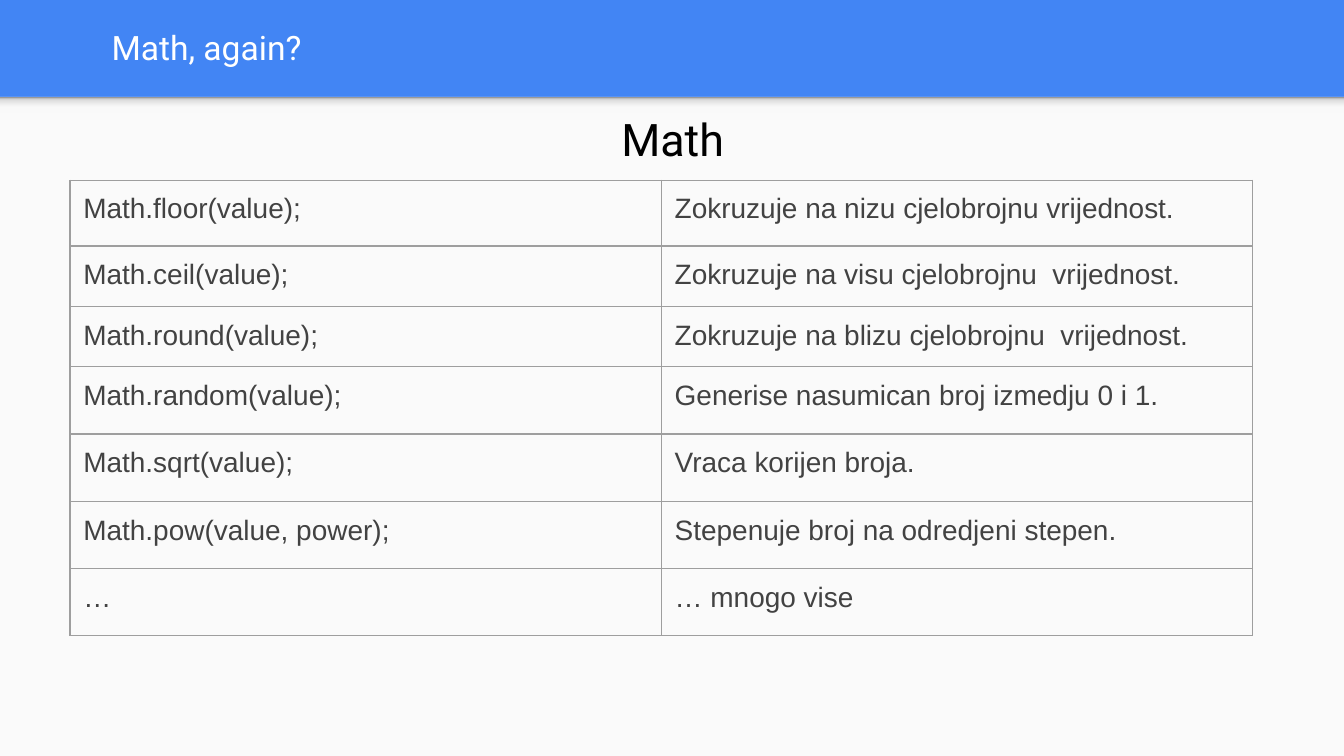
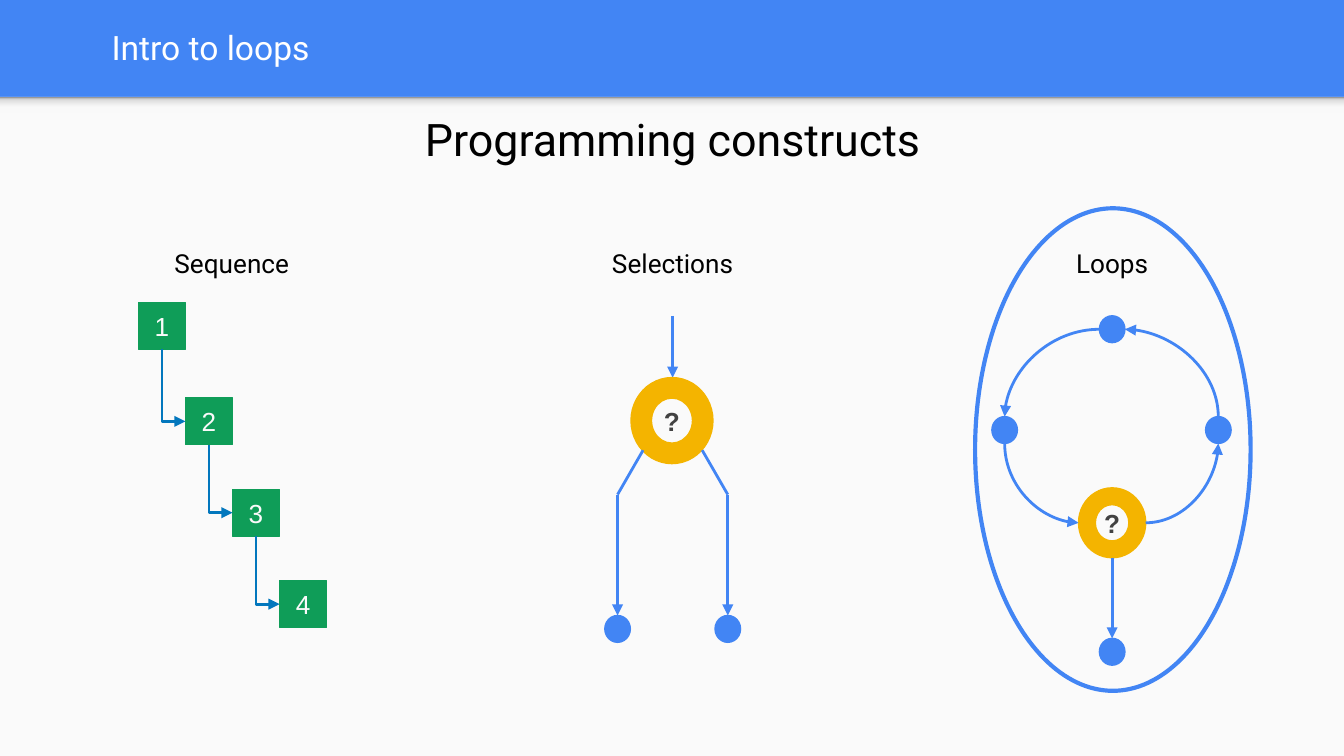
from pptx import Presentation
from pptx.dml.color import RGBColor
from pptx.enum.shapes import MSO_CONNECTOR, MSO_SHAPE
from pptx.enum.text import MSO_ANCHOR, MSO_AUTO_SIZE, PP_ALIGN
from pptx.oxml import parse_xml
from pptx.oxml.ns import nsdecls, qn
from pptx.util import Inches, Pt

RECTANGLE, OVAL, DONUT = MSO_SHAPE.RECTANGLE, MSO_SHAPE.OVAL, MSO_SHAPE.DONUT
STRAIGHT, ELBOW, CURVE = MSO_CONNECTOR.STRAIGHT, MSO_CONNECTOR.ELBOW, MSO_CONNECTOR.CURVE
CORNER_PRESETS = {ELBOW: "bentConnector2", CURVE: "curvedConnector2"}
TOP, MIDDLE = MSO_ANCHOR.TOP, MSO_ANCHOR.MIDDLE
LEFT, CENTER = PP_ALIGN.LEFT, PP_ALIGN.CENTER

BLUE = RGBColor(0x42, 0x85, 0xF4)
DARK_BLUE = RGBColor(0x02, 0x77, 0xBD)
GREEN = RGBColor(0x0F, 0x9D, 0x58)
YELLOW = RGBColor(0xF4, 0xB4, 0x00)
PAPER = RGBColor(0xFA, 0xFA, 0xFA)
WHITE = RGBColor(0xFF, 0xFF, 0xFF)
BLACK = RGBColor(0x00, 0x00, 0x00)
INK = RGBColor(0x42, 0x42, 0x42)
GRID = RGBColor(0x9E, 0x9E, 0x9E)
SHADE_STOPS = ((0, "F9F9F9"), (36, "F9F9F9"), (80, "DEDEDE"), (100, "999999"))

HEADING_FONT, BODY_FONT = "Roboto", "Arial"
SLIDE_W = 10
SLIDE_H = SLIDE_W * 9 / 16
BAND_H = 0.72
PADDING = Inches(0.1)
DOT_W, DOT_H = 0.19, 0.2
COLUMN_W, COLUMN_TOP = 1.99, 1.74

MATH_ROWS = (
    (0.49, "Math.floor(value);", "Zokruzuje na nizu cjelobrojnu vrijednost."),
    (0.45, "Math.ceil(value);", "Zokruzuje na visu cjelobrojnu  vrijednost."),
    (0.45, "Math.round(value);", "Zokruzuje na blizu cjelobrojnu  vrijednost."),
    (0.5, "Math.random(value);", "Generise nasumican broj izmedju 0 i 1."),
    (0.5, "Math.sqrt(value);", "Vraca korijen broja."),
    (0.5, "Math.pow(value, power);", "Stepenuje broj na odredjeni stepen."),
    (0.5, "…", "… mnogo vise"),
)


# Text and shapes
def inches(*lengths):
    return [Inches(length) for length in lengths]


def write(frame, text, size, color, font=BODY_FONT, align=CENTER, anchor=MIDDLE, bold=False):
    frame.word_wrap = True
    frame.auto_size = MSO_AUTO_SIZE.NONE
    frame.vertical_anchor = anchor
    frame.margin_left = frame.margin_right = PADDING
    frame.margin_top = frame.margin_bottom = PADDING
    style_paragraph(frame, text, size, color, font, align, bold)


def style_paragraph(frame, text, size, color, font, align, bold=False):
    frame.text = text
    paragraph = frame.paragraphs[0]
    paragraph.alignment = align
    paragraph.font.name = font
    paragraph.font.size = Pt(size)
    paragraph.font.bold = bold
    paragraph.font.color.rgb = color


def add_label(slide, box, text, size, anchor=MIDDLE):
    label = slide.shapes.add_textbox(*inches(*box))
    write(label.text_frame, text, size, BLACK, HEADING_FONT, anchor=anchor)


def add_solid(slide, preset, box, color):
    solid = slide.shapes.add_shape(preset, *inches(*box))
    solid.shadow.inherit = False
    solid.fill.solid()
    solid.fill.fore_color.rgb = color
    solid.line.color.rgb = color
    solid.line.width = Pt(0.75)
    return solid


def add_dot(slide, x, y):
    add_solid(slide, OVAL, (x - DOT_W / 2, y - DOT_H / 2, DOT_W, DOT_H), BLUE)


def add_question(slide, box):
    ring = add_solid(slide, DONUT, box, YELLOW)
    ring.adjustments[0] = 0.25
    write(ring.text_frame, "?", 14, INK, bold=True)


# Connectors
def add_line(slide, start, end, color=BLUE, kind=STRAIGHT, arrow=True):
    line = slide.shapes.add_connector(kind, *inches(*start, *end))
    line.line.color.rgb = color
    line.line.width = Pt(1.5)
    properties = line._element.spPr
    if arrow:
        tail = parse_xml(f'<a:tailEnd {nsdecls("a")} type="triangle"/>')
        properties.find(qn("a:ln")).append(tail)
    properties.append(parse_xml(f'<a:effectLst {nsdecls("a")}/>'))
    if kind in CORNER_PRESETS:
        properties.find(qn("a:prstGeom")).set("prst", CORNER_PRESETS[kind])
    return line


def add_upright_corner(slide, start, end, color, kind):
    """Leave start vertically (down-right or up-left) and reach end horizontally."""
    (x1, y1), (x2, y2) = start, end
    center_x, center_y = (x1 + x2) / 2, (y1 + y2) / 2
    half_w, half_h = abs(y2 - y1) / 2, abs(x2 - x1) / 2
    line = add_line(slide, (center_x + half_w, center_y - half_h),
                    (center_x - half_w, center_y + half_h), color, kind)
    degrees = 270 if y2 > y1 else 90
    line._element.spPr.find(qn("a:xfrm")).set("rot", str(degrees * 60000))


# Shared look
def add_backdrop(layout, slide):
    """Draw the page and the shade under the title band, then hand them to the layout."""
    page = add_solid(slide, RECTANGLE, (0, BAND_H, SLIDE_W, SLIDE_H - BAND_H), PAPER)
    shade = add_solid(slide, RECTANGLE, (0, BAND_H, SLIDE_W, 0.12), PAPER)
    stops = "".join(f'<a:gs pos="{place * 1000}"><a:srgbClr val="{color}"/></a:gs>'
                    for place, color in SHADE_STOPS)
    gradient = parse_xml(f'<a:gradFill {nsdecls("a")}><a:gsLst>{stops}</a:gsLst>'
                         '<a:lin ang="16200000" scaled="0"/></a:gradFill>')
    properties = shade._element.spPr
    properties.replace(properties.find(qn("a:solidFill")), gradient)
    for position, part in enumerate((page, shade), start=2):
        part.line.fill.background()
        layout.shapes._spTree.insert(position, part._element)


def add_headings(slide, title, topic):
    heading = slide.shapes.title
    heading.left, heading.top, heading.width, heading.height = inches(0.73, 0.02, 9.27, 0.66)
    write(heading.text_frame, title, 18, WHITE, HEADING_FONT, LEFT)
    add_label(slide, (1.84, 0.73, 6.33, 0.61), topic, 24, TOP)


# Math table
def set_borders(cell):
    properties = cell._tc.get_or_add_tcPr()
    for position, side in enumerate("LRTB"):
        properties.insert(position, parse_xml(
            f'<a:ln{side} {nsdecls("a")} w="{Pt(0.75)}"><a:solidFill>'
            f'<a:srgbClr val="{GRID}"/></a:solidFill></a:ln{side}>'))


def add_math_table(slide, left, top, column_w):
    height = sum(row[0] for row in MATH_ROWS)
    table = slide.shapes.add_table(
        len(MATH_ROWS), 2, *inches(left, top, 2 * column_w, height)).table
    table.first_row = table.horz_banding = False
    for row, (row_h, *texts) in zip(table.rows, MATH_ROWS):
        row.height = Inches(row_h)
        for cell, text in zip(row.cells, texts):
            cell.margin_left = cell.margin_right = PADDING
            cell.margin_top = cell.margin_bottom = PADDING
            cell.fill.background()
            set_borders(cell)
            style_paragraph(cell.text_frame, text, 15, INK, BODY_FONT, LEFT)


# Programming constructs, one function per column
def add_sequence(slide, left, top):
    side = 0.35
    corners = [(left + 0.3 + side * i, top + drop)
               for i, drop in enumerate((0.51, 1.22, 1.9, 2.58))]
    for number, (x, y) in enumerate(corners, start=1):
        step = add_solid(slide, RECTANGLE, (x, y, side, side), GREEN)
        write(step.text_frame, str(number), 14, PAPER)
    for (x, y), (next_x, next_y) in zip(corners, corners[1:]):
        add_upright_corner(slide, (x + side / 2, y + side),
                           (next_x, next_y + side / 2), DARK_BLUE, ELBOW)


def add_selections(slide, left, top):
    center = left + COLUMN_W / 2
    add_line(slide, (center, top + 0.61), (center, top + 1.07))
    add_question(slide, (center - 0.31, top + 1.07, 0.61, 0.64))
    for direction in (-1, 1):
        branch = center + direction * 0.41
        add_line(slide, (center + direction * 0.22, top + 1.61), (branch, top + 1.94), arrow=False)
        add_line(slide, (branch, top + 1.94), (branch, top + 2.84))
        add_dot(slide, branch, top + 2.94)


def add_loops(slide, left, top):
    center = left + COLUMN_W / 2
    west, east = center - 0.8, center + 0.79
    north, equator, question_y, south = top + 0.71, top + 1.46, top + 2.15, top + 3.11
    add_question(slide, (center - 0.25, top + 1.89, 0.5, 0.52))
    for x, y in ((east, equator), (center, north), (west, equator), (center, south)):
        add_dot(slide, x, y)
    # Counter-clockwise arrows, from the right-hand dot round to it again
    add_upright_corner(slide, (east, equator - DOT_H / 2), (center + DOT_W / 2, north), BLUE, CURVE)
    add_line(slide, (center - DOT_W / 2, north), (west, equator - DOT_H / 2), kind=CURVE)
    add_upright_corner(slide, (west, equator + DOT_H / 2), (center - 0.25, question_y), BLUE, CURVE)
    add_line(slide, (center + 0.25, question_y), (east, equator + DOT_H / 2), kind=CURVE)
    # Way out of the loop
    add_line(slide, (center, top + 2.41), (center, south - DOT_H / 2))
    highlight = add_solid(slide, OVAL, (center - 1.02, top - 0.19, 2.05, 3.59), BLUE)
    highlight.fill.background()
    highlight.line.width = Pt(2.25)


def add_constructs(slide):
    columns = ((0.73, "Sequence", add_sequence),
               (4.01, "Selections", add_selections),
               (7.28, "Loops", add_loops))
    for left, name, add_diagram in columns:
        add_label(slide, (left, COLUMN_TOP, COLUMN_W, 0.44), name, 14)
        add_diagram(slide, left, COLUMN_TOP)


def main():
    prs = Presentation()
    prs.slide_width, prs.slide_height = inches(SLIDE_W, SLIDE_H)
    background = prs.slide_master.background.fill
    background.solid()
    background.fore_color.rgb = BLUE
    layout = prs.slide_layouts[5]

    math_slide = prs.slides.add_slide(layout)
    add_backdrop(layout, math_slide)
    add_headings(math_slide, "Math, again?", "Math")
    add_math_table(math_slide, 0.52, 1.34, 4.4)

    loops_slide = prs.slides.add_slide(layout)
    add_headings(loops_slide, "Intro to loops", "Programming constructs")
    add_constructs(loops_slide)

    prs.save("out.pptx")


if __name__ == "__main__":
    main()
